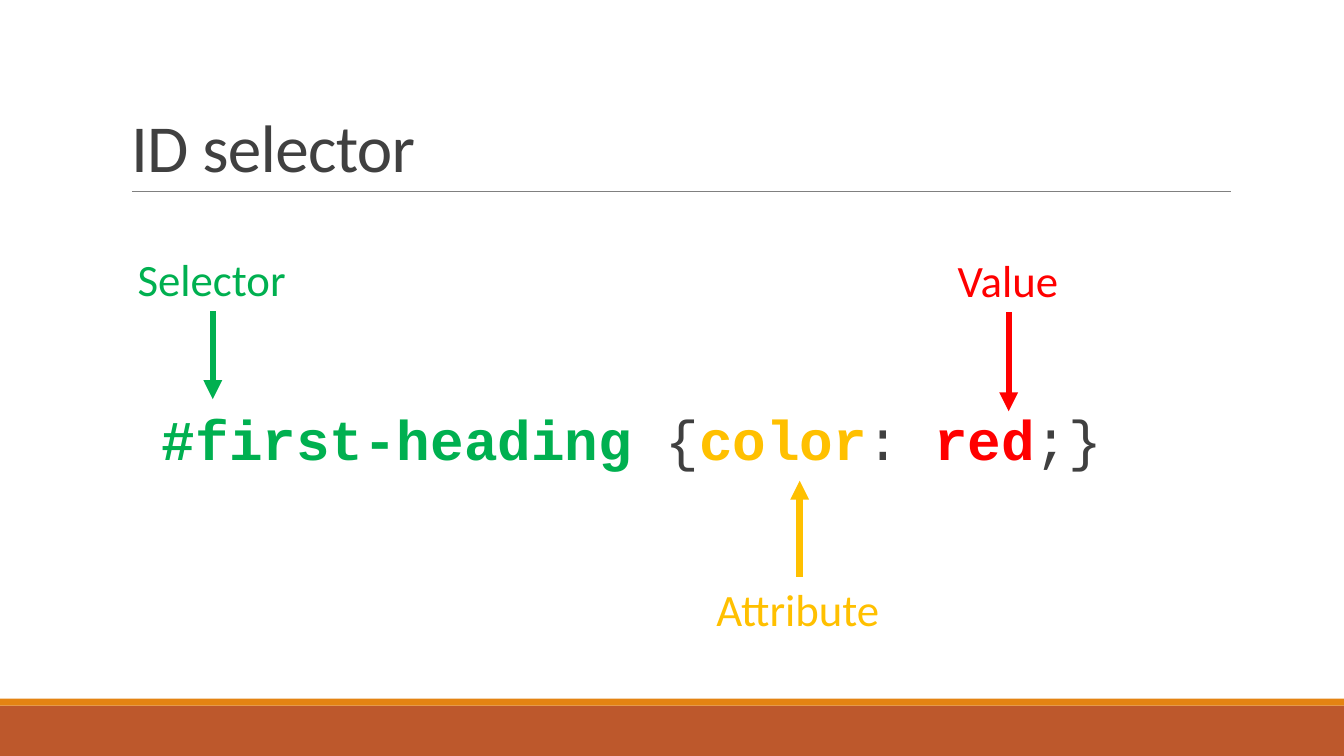
from dataclasses import dataclass

from lxml.etree import SubElement
from pptx import Presentation
from pptx.dml.color import RGBColor
from pptx.enum.shapes import MSO_CONNECTOR, MSO_SHAPE
from pptx.enum.text import MSO_ANCHOR, MSO_AUTO_SIZE, PP_ALIGN
from pptx.oxml.ns import qn
from pptx.util import Pt


@dataclass(frozen=True)
class Theme:
    dark: str = "404040"
    gray: str = "808080"
    green: str = "00B050"
    gold: str = "FFC000"
    red: str = "FF0000"
    rust: str = "BD582C"
    amber: str = "E48312"
    sans: str = "Calibri"
    mono: str = "Courier New"
    title: int = 48
    code: int = 40
    label: int = 32


def apply(item, **values):
    for name, value in values.items():
        setattr(item, name, value)


def rgb(color):
    return RGBColor.from_string(color)


class Deck:
    def __init__(self, theme):
        self.theme = theme
        self.file = Presentation()
        apply(self.file, slide_width=Pt(960), slide_height=Pt(540))
        self.slide = self.file.slides.add_slide(self.file.slide_layouts[5])
        self.shapes = self.slide.shapes

    def run(self, para, text, face, size, color, bold=False):
        run = para.add_run()
        run.text = text
        apply(run.font, name=face, size=Pt(size), bold=bold)
        run.font.color.rgb = rgb(color)
        return run

    def title(self, text, left, top, width, height):
        box = self.shapes.title
        apply(box, left=Pt(left), top=Pt(top), width=Pt(width), height=Pt(height))
        apply(box.text_frame, vertical_anchor=MSO_ANCHOR.BOTTOM,
              auto_size=MSO_AUTO_SIZE.NONE, word_wrap=True)
        para = box.text_frame.paragraphs[0]
        apply(para, alignment=PP_ALIGN.LEFT, line_spacing=0.85)
        run = self.run(para, text, self.theme.sans, self.theme.title, self.theme.dark)
        run.font._element.set("spc", "-50")

    def bar(self, top, height, color):
        bar = self.shapes.add_shape(
            MSO_SHAPE.RECTANGLE, 0, Pt(top), self.file.slide_width, Pt(height))
        bar.shadow.inherit = False
        bar.fill.solid()
        bar.fill.fore_color.rgb = rgb(color)
        bar.line.fill.background()

    def line(self, start, end, color, weight):
        line = self.shapes.add_connector(
            MSO_CONNECTOR.STRAIGHT, *(Pt(n) for n in (*start, *end)))
        line.line.width = Pt(weight)
        line.line.color.rgb = rgb(color)
        SubElement(line._element.spPr, qn("a:effectLst"))
        return line

    def code(self, parts, left, top, width, height):
        """Draw one line of code from (text, color, bold) parts."""
        frame = self.shapes.add_textbox(
            Pt(left), Pt(top), Pt(width), Pt(height)).text_frame
        apply(frame, word_wrap=True, vertical_anchor=MSO_ANCHOR.MIDDLE,
              margin_left=0, margin_right=0)
        para = frame.paragraphs[0]
        apply(para, line_spacing=0.8, space_before=Pt(12), space_after=Pt(2))
        props = para._p.get_or_add_pPr()
        props.set("marL", str(Pt(7.2)))
        props.set("indent", str(-Pt(7.2)))
        SubElement(props, qn("a:buFont"), typeface=self.theme.sans)
        SubElement(props, qn("a:buChar"), char=" ")
        for text, color, bold in parts:
            self.run(para, text, self.theme.mono, self.theme.code, color, bold)

    def label(self, text, color, mid, top, width):
        box = self.shapes.add_textbox(
            Pt(mid - width / 2), Pt(top), Pt(width), Pt(46))
        apply(box.text_frame, word_wrap=False,
              auto_size=MSO_AUTO_SIZE.SHAPE_TO_FIT_TEXT)
        self.run(box.text_frame.paragraphs[0], text,
                 self.theme.sans, self.theme.label, color)
        return box

    def callout(self, text, color, mid, top, width, tip):
        """Draw a label with an arrow from its near side to the code."""
        box = self.label(text, color, mid, top, width)
        below = tip > top
        start = top + 46 if below else top
        arrow = self.line((mid, start), (mid, tip), color, 4.5)
        arrow.begin_connect(box, 2 if below else 0)
        SubElement(arrow.line._get_or_add_ln(), qn("a:tailEnd"), type="triangle")


def main():
    theme = Theme()
    deck = Deck(theme)
    deck.bar(504, 36, theme.rust)
    deck.bar(499, 5, theme.amber)
    deck.line((94.3, 136.8), (879.1, 136.8), theme.gray, 0.5)
    deck.title("ID selector", 86.4, 22.3, 792, 114.5)
    deck.code([
        ("#first-heading ", theme.green, True),
        ("{", theme.dark, False),
        ("color", theme.gold, True),
        (": ", theme.dark, False),
        ("red", theme.red, True),
        (";}", theme.dark, False),
    ], 106.6, 292.3, 771.8, 50.4)
    for note in (
        ("Selector", theme.green, 152, 176.5, 121.7, 285.1),
        ("Attribute", theme.gold, 571.2, 411.8, 133.2, 343.4),
        ("Value", theme.red, 720.5, 177.1, 87.1, 293.8),
    ):
        deck.callout(*note)
    deck.file.save("out.pptx")


if __name__ == "__main__":
    main()
